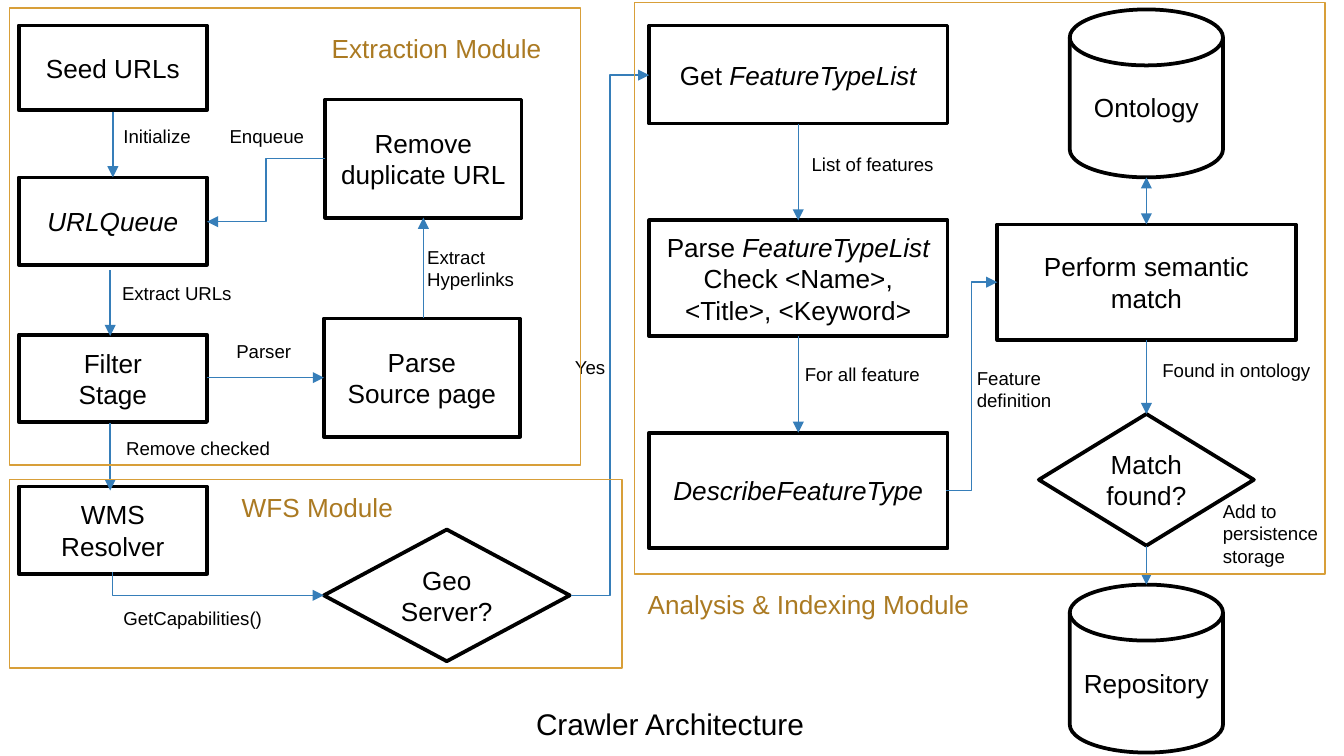
from pptx import Presentation
from pptx import util as u
from pptx.dml.color import RGBColor
from pptx.enum import shapes, text
from pptx.oxml import parse_xml
from pptx.oxml.ns import nsdecls, qn

# Grid of 100 columns by 56.25 rows (16:9), square cells
CELL = u.Inches(0.1)
COLUMNS, ROWS = 100, 56.25

BLACK = RGBColor(0x00, 0x00, 0x00)
WHITE = RGBColor(0xFF, 0xFF, 0xFF)
BLUE = RGBColor(0x36, 0x7E, 0xB9)
GOLD = RGBColor(0xD8, 0x9F, 0x39)
BROWN = RGBColor(0xAB, 0x7A, 0x22)

PROCESS = shapes.MSO_SHAPE.FLOWCHART_PROCESS
DECISION = shapes.MSO_SHAPE.FLOWCHART_DECISION
DISK = shapes.MSO_SHAPE.FLOWCHART_MAGNETIC_DISK
STRAIGHT = shapes.MSO_CONNECTOR.STRAIGHT
ELBOW = shapes.MSO_CONNECTOR.ELBOW

SMALL, MEDIUM, WIDE = (14, 6.5), (14.6, 8.8), (22.2, 8.6)
DRUM = (11.4, 12.5)

# Kind, (column, row), (columns, rows), text; asterisks enclose italics
NODES = [
    (PROCESS, (1.4, 1.9), (14, 6.3), "Seed URLs"),
    (PROCESS, (1.4, 13.2), SMALL, "*URLQueue*"),
    (PROCESS, (1.4, 24.9), SMALL, "Filter\nStage"),
    (PROCESS, (24.1, 23.7), MEDIUM, "Parse\nSource page"),
    (PROCESS, (24.2, 7.4), MEDIUM, "Remove duplicate URL"),
    (PROCESS, (1.4, 36.2), SMALL, "WMS\nResolver"),
    (DECISION, (24.1, 39.4), (18.3, 9.8), "Geo\nServer?"),
    (PROCESS, (48.3, 1.9), (22.2, 7.3), "Get *FeatureTypeList*"),
    (PROCESS, (48.3, 16.4), WIDE,
     "Parse *FeatureTypeList*\nCheck <Name>, <Title>, <Keyword>"),
    (PROCESS, (48.3, 32.2), WIDE, "*DescribeFeatureType*"),
    (PROCESS, (74.2, 16.7), WIDE, "Perform semantic match"),
    (DISK, (79.6, 0.7), DRUM, "Ontology"),
    (DECISION, (77.3, 30.8), (16, 9.8), "Match found?"),
    (DISK, (79.6, 43.5), DRUM, "Repository"),
]

# Kind, start, end
ARROWS = [
    (STRAIGHT, (8.4, 8.3), (8.4, 13.2)),
    (STRAIGHT, (8.2, 20.1), (8.2, 25)),
    (STRAIGHT, (8.2, 31.5), (8.2, 36.5)),
    (STRAIGHT, (15.4, 28.1), (24.1, 28.1)),
    (STRAIGHT, (31.5, 23.7), (31.5, 16.2)),
    (ELBOW, (24.2, 11.8), (15.4, 16.5)),
    (ELBOW, (42.5, 44.3), (48.3, 5.6)),
    (STRAIGHT, (59.4, 9.2), (59.4, 16.4)),
    (STRAIGHT, (59.4, 25), (59.4, 32.2)),
    (ELBOW, (70.4, 36.5), (74.2, 21)),
    (STRAIGHT, (85.3, 25.3), (85.3, 30.8)),
    (STRAIGHT, (85.3, 40.6), (85.3, 43.5)),
]

# (column, row), (columns, rows), text
LABELS = [
    ((8.2, 8.8), (7.1, 2.7), "Initialize"),
    ((8.1, 20.5), (10.3, 2.7), "Extract URLs"),
    ((16.6, 24.8), (6.1, 2.7), "Parser"),
    ((30.8, 17.8), (8.6, 4.4), "Extract\nHyperlinks"),
    ((16.1, 8.8), (7.6, 2.7), "Enqueue"),
    ((8.4, 32), (12.8, 2.7), "Remove checked"),
    ((8.2, 44.7), (12.4, 2.7), "GetCapabilities()"),
    ((41.8, 26), (4.4, 2.7), "Yes"),
    ((59.4, 10.9), (11.2, 2.7), "List of features"),
    ((58.9, 26.5), (10.6, 2.7), "For all feature"),
    ((71.7, 26.8), (7.6, 4.4), "Feature\ndefinition"),
    ((85.5, 26.2), (13.1, 2.7), "Found in ontology"),
]

# Frame place and size, title place and size, title
MODULES = [
    ((0.7, 0.6), (42.5, 34), (23.7, 1.9), (17.7, 3.4), "Extraction Module"),
    ((0.7, 35.7), (45.6, 14), (17, 36.1), (13.3, 3.4), "WFS Module"),
    ((47.2, 0.2), (51.4, 42.5), (47.2, 43.3), (26.1, 3.4),
     "Analysis & Indexing Module"),
]


def cells(*counts):
    return [round(count * CELL) for count in counts]


def write(frame, words, size, color, align):
    for index, line in enumerate(words.split("\n")):
        para = frame.paragraphs[0] if index == 0 else frame.add_paragraph()
        para.alignment = align
        for part, content in enumerate(line.split("*")):
            if content:
                span = para.add_run()
                span.text = content
                span.font.name = "Arial"
                span.font.size = u.Pt(size)
                span.font.color.rgb = color
                span.font.italic = part % 2 == 1


def add_node(page, kind, place, size, words):
    node = page.shapes.add_shape(kind, *cells(*place, *size))
    node.shadow.inherit = False
    node.fill.solid()
    node.fill.fore_color.rgb = WHITE
    node.line.color.rgb = BLACK
    node.line.width = u.Pt(2)
    frame = node.text_frame
    frame.word_wrap = True
    frame.vertical_anchor = text.MSO_ANCHOR.MIDDLE
    if kind != PROCESS:
        frame.margin_left = frame.margin_right = u.Inches(0.05)
    write(frame, words, 14, BLACK, text.PP_ALIGN.CENTER)


def add_arrow(page, kind, start, end, both=False):
    arrow = page.shapes.add_connector(kind, *cells(*start, *end))
    arrow.line.color.rgb = BLUE
    arrow.line.width = u.Pt(0.75)
    for tag in ("headEnd", "tailEnd") if both else ("tailEnd",):
        arrow.line._get_or_add_ln().append(
            parse_xml(f'<a:{tag} {nsdecls("a")} type="triangle"/>'))
    arrow._element.spPr.append(parse_xml(f'<a:effectLst {nsdecls("a")}/>'))
    return arrow


def add_corner_arrow(page, start, end):
    """Run down and then right: a one-bend connector turned by 270 degrees."""
    middle_x, middle_y = (start[0] + end[0]) / 2, (start[1] + end[1]) / 2
    half_run, half_drop = (end[0] - start[0]) / 2, (end[1] - start[1]) / 2
    arrow = add_arrow(page, ELBOW,
                      (middle_x + half_drop, middle_y - half_run),
                      (middle_x - half_drop, middle_y + half_run))
    properties = arrow._element.spPr
    properties.find(qn("a:prstGeom")).set("prst", "bentConnector2")
    properties.find(qn("a:xfrm")).set("rot", str(270 * 60000))


def add_label(page, place, size, words, points=10, color=BLACK, wrap=False):
    box = page.shapes.add_textbox(*cells(*place, *size))
    box.text_frame.word_wrap = wrap
    box.text_frame.auto_size = text.MSO_AUTO_SIZE.SHAPE_TO_FIT_TEXT
    write(box.text_frame, words, points, color, text.PP_ALIGN.LEFT)


def add_frame(page, place, size):
    frame = page.shapes.add_shape(shapes.MSO_SHAPE.RECTANGLE,
                                  *cells(*place, *size))
    frame.shadow.inherit = False
    frame.fill.background()
    frame.line.color.rgb = GOLD
    frame.line.width = u.Pt(0.75)


def main():
    deck = Presentation()
    deck.slide_width, deck.slide_height = cells(COLUMNS, ROWS)
    page = deck.slides.add_slide(deck.slide_layouts[6])

    # Flowchart steps
    for node in NODES:
        add_node(page, *node)

    # Flow between the steps
    for arrow in ARROWS:
        add_arrow(page, *arrow)
    add_arrow(page, STRAIGHT, (85.3, 13.2), (85.3, 16.7), both=True)
    add_corner_arrow(page, (8.4, 42.6), (24.1, 44.3))

    # Arrow labels
    for label in LABELS:
        add_label(page, *label)
    add_label(page, (90, 36.7), (9.5, 6.1), "Add to persistence\nstorage",
              wrap=True)

    # Modules and slide title
    for place, size, title_place, title_size, title in MODULES:
        add_frame(page, place, size)
        add_label(page, title_place, title_size, title, 14, BROWN)
    add_label(page, (38.9, 52), (22.3, 3.7), "Crawler Architecture", 16)

    deck.save("out.pptx")


if __name__ == "__main__":
    main()
